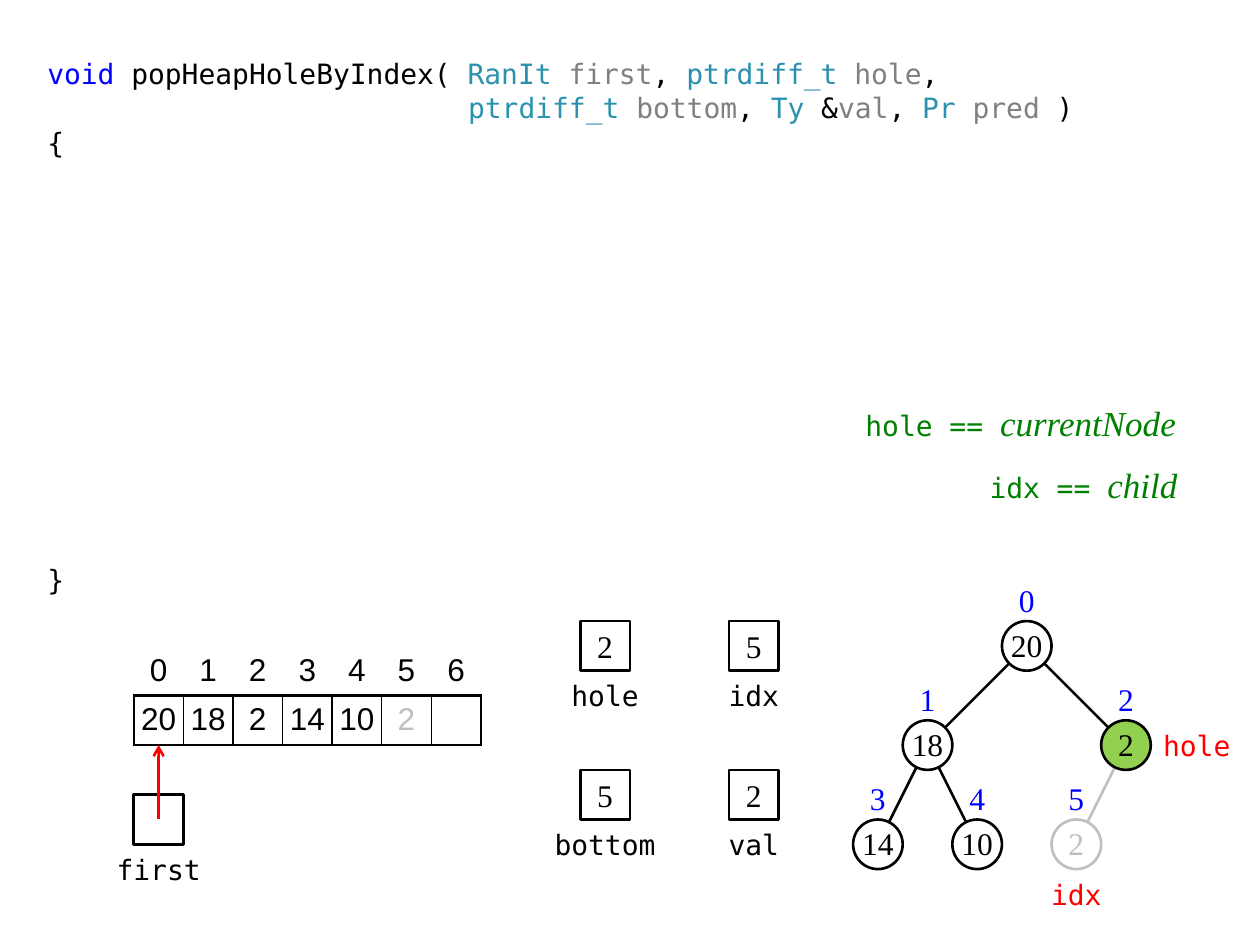
from dataclasses import dataclass

from lxml.etree import SubElement
from pptx import Presentation
from pptx.dml.color import RGBColor
from pptx.enum.shapes import MSO_CONNECTOR, MSO_SHAPE
from pptx.enum.text import MSO_ANCHOR, MSO_AUTO_SIZE, PP_ALIGN
from pptx.oxml.ns import qn
from pptx.util import Inches, Pt


@dataclass(frozen=True)
class Theme:
    """Colours, fonts, type sizes and line widths."""
    black: str = "000000"
    white: str = "FFFFFF"
    blue: str = "0000FF"
    teal: str = "2B91AF"
    grey: str = "808080"
    pale: str = "BFBFBF"
    red: str = "FF0000"
    green: str = "008000"
    lime: str = "92D050"
    code: str = "DejaVu Sans Mono"
    serif: str = "Times New Roman"
    sans: str = "Arial"
    code_size: int = 16
    value_size: int = 18
    term_size: int = 20
    thick: float = 1.5
    thin: float = 0.75


class HeapSlide:
    """Draws code, arrays, variables and trees on a grid of one-centimetre cells."""
    cell = 1 / 2.54
    left = 0.275
    top = 0.205

    def __init__(self, presentation, theme):
        self.theme = theme
        self.slide = presentation.slides.add_slide(presentation.slide_layouts[1])
        title = self.slide.shapes.title
        title.element.getparent().remove(title.element)

    def point(self, column, row):
        return Inches(self.left + column * self.cell), Inches(self.top + row * self.cell)

    def area(self, column, row, columns=1, rows=1):
        return (*self.point(column, row), Inches(columns * self.cell), Inches(rows * self.cell))

    def style(self, font, name, size, color):
        font.name, font.size = name, Pt(size)
        font.color.rgb = RGBColor.from_string(color)

    def frame(self, shape, anchor, insets=(0, 0, 0, 0)):
        frame = shape.text_frame
        frame.auto_size = MSO_AUTO_SIZE.NONE
        frame.vertical_anchor = anchor
        frame.margin_left, frame.margin_top, frame.margin_right, frame.margin_bottom = map(Inches, insets)
        return frame

    def code(self, lines, column, row, columns, rows):
        """Fills the body with lines of (indent, space before, coloured runs)."""
        body = self.slide.placeholders[1]
        body.left, body.top, body.width, body.height = self.area(column, row, columns, rows)
        frame = self.frame(body, MSO_ANCHOR.TOP, (0.1, 0.05, 0.1, 0.05))
        frame.word_wrap = True
        for number, (indent, space, runs) in enumerate(lines):
            paragraph = frame.add_paragraph() if number else frame.paragraphs[0]
            paragraph.space_before = Pt(space)
            self.style(paragraph.font, self.theme.code, self.theme.code_size, self.theme.black)
            properties = paragraph._p.get_or_add_pPr()
            properties.set("marL", str(Inches(indent)))
            properties.set("indent", "0")
            properties.insert_element_before(
                properties.makeelement(qn("a:buNone"), {}), "a:tabLst", "a:defRPr")
            for text, color in runs:
                run = paragraph.add_run()
                run.text = text
                self.style(run.font, self.theme.code, self.theme.code_size, color)

    def label(self, text, column, row, columns=1, color=None):
        box = self.slide.shapes.add_textbox(*self.area(column, row, columns))
        paragraph = self.frame(box, MSO_ANCHOR.MIDDLE).paragraphs[0]
        paragraph.text, paragraph.alignment = text, PP_ALIGN.CENTER
        self.style(paragraph.font, self.theme.code, self.theme.code_size, color or self.theme.black)

    def index(self, text, column, row):
        box = self.slide.shapes.add_textbox(*self.area(column, row))
        paragraph = self.frame(box, MSO_ANCHOR.BOTTOM, (0, 0, 0, 0.02)).paragraphs[0]
        paragraph.text, paragraph.alignment = text, PP_ALIGN.CENTER
        self.style(paragraph.font, self.theme.serif, self.theme.value_size, self.theme.blue)

    def note(self, code, term, column, row, columns, rows=1, color=None):
        """Writes left-aligned code followed by an italic term."""
        box = self.slide.shapes.add_textbox(*self.area(column, row, columns, rows))
        paragraph = self.frame(box, MSO_ANCHOR.MIDDLE, (0.1, 0, 0.1, 0)).paragraphs[0]
        parts = ((code, self.theme.code, self.theme.code_size), (term, self.theme.serif, self.theme.term_size))
        for text, name, size in parts:
            if text:
                run = paragraph.add_run()
                run.text = text
                self.style(run.font, name, size, color)
                run.font.italic = text == term

    def mark(self, kind, text, column, row, anchor, fill=None, color=None):
        """Draws a one-cell box or circle holding a value."""
        theme = self.theme
        shape = self.slide.shapes.add_shape(kind, *self.area(column, row))
        shape.shadow.inherit = False
        shape.fill.solid()
        shape.fill.fore_color.rgb = RGBColor.from_string(fill or theme.white)
        shape.line.color.rgb = RGBColor.from_string(color or theme.black)
        shape.line.width = Pt(theme.thick)
        frame = self.frame(shape, anchor)
        frame.word_wrap = True
        paragraph = frame.paragraphs[0]
        paragraph.text, paragraph.alignment = text, PP_ALIGN.CENTER
        self.style(paragraph.font, theme.serif, theme.value_size,
                   theme.pale if color == theme.pale else theme.black)

    def line(self, start, end, color, arrow=False):
        connector = self.slide.shapes.add_connector(
            MSO_CONNECTOR.STRAIGHT, *self.point(*start), *self.point(*end))
        connector.line.color.rgb = RGBColor.from_string(color)
        connector.line.width = Pt(self.theme.thick)
        if arrow:
            SubElement(connector.line._get_or_add_ln(), qn("a:tailEnd"), type="arrow")
        SubElement(connector._element.spPr, qn("a:effectLst"))

    def array(self, values, column, row, faded):
        """Draws indices above a bordered row of values."""
        theme, count = self.theme, len(values)
        table = self.slide.shapes.add_table(2, count, *self.area(column, row, count, 2)).table
        table.first_row = table.horz_banding = False
        for position, value in enumerate(values):
            for level, text in enumerate((str(position), value)):
                cell = table.cell(level, position)
                cell.margin_left = cell.margin_right = cell.margin_top = 0
                cell.margin_bottom = Inches(0.02 * level)
                cell.vertical_anchor = MSO_ANCHOR.MIDDLE
                paragraph = cell.text_frame.paragraphs[0]
                paragraph.text, paragraph.alignment = text, PP_ALIGN.CENTER
                color = theme.pale if level and position in faded else theme.black
                self.style(paragraph.font, theme.sans, theme.value_size, color)
                borders = {"lnB": theme.thick}
                if level:
                    borders = {"lnL": theme.thin if position else theme.thick,
                               "lnR": theme.thin if position < count - 1 else theme.thick,
                               "lnT": theme.thick, "lnB": theme.thick}
                properties = cell._tc.get_or_add_tcPr()
                for side, width in borders.items():
                    border = SubElement(properties, qn(f"a:{side}"), w=str(Pt(width)))
                    SubElement(SubElement(border, qn("a:solidFill")), qn("a:srgbClr"), val=theme.black)
                cell.fill.background()

    def tree(self, nodes):
        """Draws a heap of (value, column, row, fill, outline) with its edges underneath."""
        for position, (_, column, row, _, color) in enumerate(nodes[1:], 1):
            _, parent_column, parent_row, _, _ = nodes[(position - 1) // 2]
            self.line((parent_column + 0.5, parent_row + 0.5), (column + 0.5, row + 0.5), color)
        for position, (value, column, row, fill, color) in enumerate(nodes):
            self.index(str(position), column, row - 1)
            self.mark(MSO_SHAPE.OVAL, value, column, row, MSO_ANCHOR.BOTTOM, fill, color)


def main():
    theme = Theme()
    black, white, teal, grey = theme.black, theme.white, theme.teal, theme.grey
    presentation = Presentation()
    presentation.slide_width, presentation.slide_height = Inches(10), Inches(7.5)
    heap = HeapSlide(presentation, theme)
    heap.code([
        (0, 0, [("void ", theme.blue), ("popHeapHoleByIndex( ", black), ("RanIt ", teal), ("first", grey),
                (", ", black), ("ptrdiff_t ", teal), ("hole", grey), (",", black)]),
        (3.34, 0, [("ptrdiff_t ", teal), ("bottom", grey), (", ", black), ("Ty", teal), (" &", black),
                   ("val", grey), (", ", black), ("Pr ", teal), ("pred", grey), (" )", black)]),
        (0, 1, [("{", black)]),
        (0, 230.5, [("}", black)]),
    ], 0, 0.5, 24, 11)
    heap.array(["20", "18", "2", "14", "10", "2", ""], 2, 12.5, faded={5})
    variables = [("first", "", 2, 15.5, 2), ("hole", "2", 11, 12, 2), ("idx", "5", 14, 12, 1),
                 ("bottom", "5", 11, 15, 3), ("val", "2", 14, 15, 1)]
    for name, value, column, row, columns in variables:
        heap.mark(MSO_SHAPE.RECTANGLE, value, column, row, MSO_ANCHOR.MIDDLE)
        heap.label(name, column + (1 - columns) / 2, row + 1, columns)
    heap.line((2.5, 16), (2.5, 14.5), theme.red, arrow=True)
    heap.tree([("20", 19.5, 12, white, black), ("18", 17.5, 14, white, black),
               ("2", 21.5, 14, theme.lime, black), ("14", 16.5, 16, white, black),
               ("10", 18.5, 16, white, black), ("2", 20.5, 16, white, theme.pale)])
    heap.note("hole", "", 22.5, 14, 2, color=theme.red)
    heap.label("idx", 20, 17, 2, theme.red)
    heap.note("hole == ", "currentNode", 16.5, 7.5, 7, color=theme.green)
    heap.note("idx == ", "child", 19, 8.5, 4.5, 1.5, theme.green)
    presentation.save("out.pptx")


if __name__ == "__main__":
    main()
